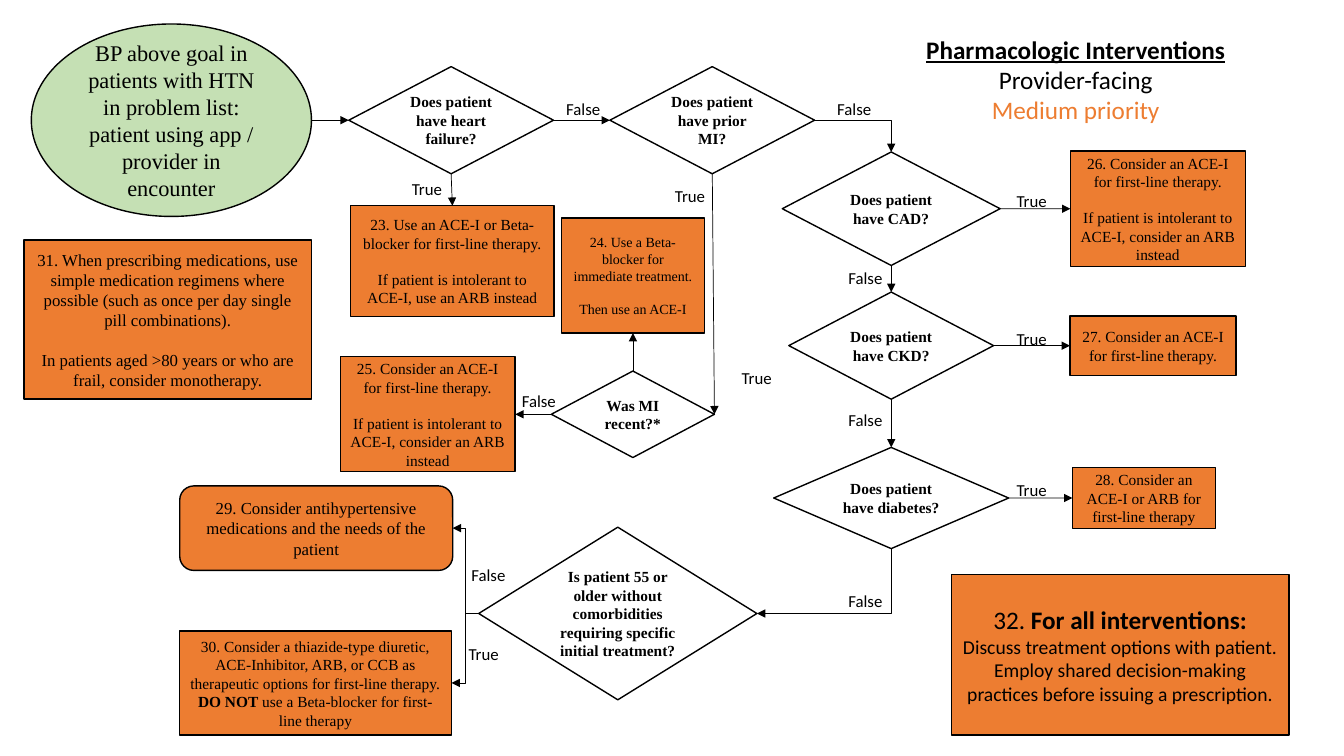
from lxml import etree
from pptx import Presentation
from pptx import util as u
from pptx.dml.color import RGBColor
from pptx.enum import shapes, text
from pptx.oxml.ns import qn

COLOURS = {"ink": "000000", "start": "C5E0B4", "advice": "ED7D31"}
SERIF, SANS = "Times New Roman", "Calibri"
TOP, LEFT, BOTTOM, RIGHT = range(4)
ELLIPSE_RIGHT = "6"
TOP_ROW, CAD_ROW, CKD_ROW, DIABETES_ROW, RECENT_ROW = 3.03, 5.26, 8.71, 12.55, 10.44
CHAIN_X, RECENT_X = 22.46, 15.95
LABEL_SIZE = (1.45, 0.76)
LINE_HEIGHT = 1.15

# name: (centre x, centre y, width, height, question)
QUESTIONS = {
    "failure": (11.37, TOP_ROW, 5.16, 2.7, "Does patient have heart failure?"),
    "prior": (17.95, TOP_ROW, 5.16, 2.7, "Does patient have prior MI?"),
    "cad": (CHAIN_X, CAD_ROW, 5.49, 2.86, "Does patient have CAD?"),
    "ckd": (CHAIN_X, CKD_ROW, 5.16, 2.7, "Does patient have CKD?"),
    "diabetes": (CHAIN_X, DIABETES_ROW, 5.92, 2.55, "Does patient have diabetes?"),
    "recent": (RECENT_X, RECENT_ROW, 4.11, 2.18, "Was MI recent?*"),
    "age": (15.57, 15.46, 7.01, 4.35,
            "Is patient 55 or older without comorbidities requiring specific initial treatment?"),
}

FIRST_LINE = "Consider an ACE-I for first-line therapy."
INTOLERANT = "If patient is intolerant to ACE-I, consider an ARB instead"

# number: (centre x, centre y, width, height, size, gap between paragraphs, paragraphs)
ADVICE = {
    23: (11.4, 6.58, 5.13, 2.79, 11, True,
         ["23. Use an ACE-I or Beta-blocker for first-line therapy.",
          "If patient is intolerant to ACE-I, use an ARB instead"]),
    24: (RECENT_X, 6.94, 3.61, 2.9, 10, True,
         ["24. Use a Beta-blocker for immediate treatment.", "Then use an ACE-I"]),
    25: (10.78, RECENT_ROW, 4.41, 2.9, 11, True, ["25. " + FIRST_LINE, INTOLERANT]),
    26: (29.18, CAD_ROW, 4.41, 2.9, 11, True, ["26. " + FIRST_LINE, INTOLERANT]),
    27: (29.06, CKD_ROW, 4.19, 1.5, 11, False, ["27. " + FIRST_LINE]),
    28: (28.83, DIABETES_ROW, 3.61, 1.53, 11, False,
         ["28. Consider an ACE-I or ARB for first-line therapy"]),
    29: (7.97, 13.31, 6.88, 2.13, 12, False,
         ["29. Consider antihypertensive medications and the needs of the patient"]),
    30: (7.95, 17.21, 6.86, 2.62, 11, False,
         ["30. Consider a thiazide-type diuretic, ACE-Inhibitor, ARB, or CCB as "
          "therapeutic options for first-line therapy.",
          "|DO NOT |use a Beta-blocker for first-line therapy"]),
    31: (4.23, 8.05, 7.24, 4.01, 12, True,
         ["31. When prescribing medications, use simple medication regimens where "
          "possible (such as once per day single pill combinations).",
          "In patients aged >80 years or who are frail, consider monotherapy."]),
    32: (28.23, 16.5, 8.51, 4.04, 14, False,
         ["32. |For all interventions:|",
          "Discuss treatment options with patient. Employ shared decision-making "
          "practices before issuing a prescription."]),
}

START = (4.32, TOP_ROW, 7.06, 4.85,
         "BP above goal in patients with HTN in problem list: "
         "patient using app / provider in encounter")
HEADING = (27.11, 2.02, 8.56, 2.57,
           ["|Pharmacologic Interventions|", "Provider-facing", "Medium priority"])

# from, side, to, side, route, label, label left, label top
ARROWS = [
    ("start", RIGHT, "failure", LEFT, "straight", "", 0, 0),
    ("failure", BOTTOM, 23, TOP, "straight", "True", 10.13, 4.37),
    ("failure", RIGHT, "prior", LEFT, "straight", "False", 14.02, 2.36),
    ("prior", RIGHT, "cad", TOP, "across", "False", 20.85, 2.36),
    ("prior", BOTTOM, "recent", RIGHT, "straight", "True", 16.76, 4.55),
    ("recent", TOP, 24, BOTTOM, "straight", "True", 18.44, 9.14),
    ("recent", LEFT, 25, RIGHT, "straight", "False", 12.9, 9.73),
    ("cad", RIGHT, 26, LEFT, "straight", "True", 25.37, 4.67),
    ("cad", BOTTOM, "ckd", TOP, "straight", "False", 21.13, 6.63),
    ("ckd", RIGHT, 27, LEFT, "straight", "True", 25.37, 8.15),
    ("ckd", BOTTOM, "diabetes", TOP, "straight", "False", 21.13, 10.19),
    ("diabetes", RIGHT, 28, LEFT, "straight", "True", 25.37, 11.96),
    ("diabetes", BOTTOM, "age", RIGHT, "down", "False", 21.13, 14.76),
    ("age", LEFT, 29, RIGHT, "step", "False", 11.63, 14.1),
    ("age", LEFT, 30, RIGHT, "step", "True", 11.56, 16.1),
]

deck = Presentation()
deck.slide_width, deck.slide_height = u.Cm(33.87), u.Cm(19.05)
slide = deck.slides.add_slide(deck.slide_layouts[6])


def colour(name):
    return RGBColor.from_string(COLOURS[name])


def frame(x, y, width, height):
    return [u.Cm(v) for v in (x - width / 2, y - height / 2, width, height)]


def write(shape, paragraphs, size, font, bold=False, gap=False, centred=True):
    body = shape.text_frame
    body.word_wrap = True
    for i, line in enumerate(paragraphs):
        para = body.paragraphs[0] if i == 0 else body.add_paragraph()
        if centred:
            para.alignment = text.PP_ALIGN.CENTER
        if gap and i:
            para.space_before = u.Pt(size * LINE_HEIGHT)
        for j, piece in enumerate(line.split("|")):
            if piece:
                run = para.add_run()
                run.text = piece
                run.font.name, run.font.size = font, u.Pt(size)
                run.font.bold = bold or j % 2 == 1
                run.font.color.rgb = colour("ink")


def node(kind, place, fill=None):
    shape = slide.shapes.add_shape(kind, *frame(*place))
    shape.shadow.inherit = False
    if fill:
        shape.fill.solid()
        shape.fill.fore_color.rgb = colour(fill)
    else:
        shape.fill.background()
    shape.line.color.rgb = colour("ink")
    shape.line.width = u.Pt(1)
    shape.text_frame.vertical_anchor = text.MSO_ANCHOR.MIDDLE
    return shape


def arrow(origin, side, target, target_side, route):
    kind = shapes.MSO_CONNECTOR.STRAIGHT if route == "straight" else shapes.MSO_CONNECTOR.ELBOW
    link = slide.shapes.add_connector(kind, 0, 0, 0, 0)
    link.begin_connect(nodes[origin], side)
    link.end_connect(nodes[target], target_side)
    link.line.color.rgb = colour("ink")
    link.line.width = u.Pt(0.5)
    props = link._element.spPr
    etree.SubElement(props.find(qn("a:ln")), qn("a:tailEnd"), type="triangle")
    etree.SubElement(props, qn("a:effectLst"))
    if origin == "start":
        next(link._element.iter(qn("a:stCxn"))).set("idx", ELLIPSE_RIGHT)
    if route in ("across", "down"):
        props.find(qn("a:prstGeom")).set("prst", "bentConnector2")
    if route == "down":
        x, y = link.left + link.width // 2, link.top + link.height // 2
        link.width, link.height = link.height, link.width
        link.left, link.top = x - link.width // 2, y - link.height // 2
        turn = props.find(qn("a:xfrm"))
        turn.attrib.pop("flipH", None)
        turn.set("rot", "5400000")


nodes = {"start": node(shapes.MSO_SHAPE.OVAL, START[:4], "start")}
write(nodes["start"], START[4:], 16, SERIF)

for name, (*place, question) in QUESTIONS.items():
    nodes[name] = node(shapes.MSO_SHAPE.DIAMOND, place)
    write(nodes[name], [question], 11, SERIF, bold=True)

for number, (*place, size, gap, paragraphs) in ADVICE.items():
    kind = shapes.MSO_SHAPE.ROUNDED_RECTANGLE if number == 29 else shapes.MSO_SHAPE.RECTANGLE
    nodes[number] = node(kind, place, "advice")
    write(nodes[number], paragraphs, size, SANS if number == 32 else SERIF, gap=gap)
for run in nodes[32].text_frame.paragraphs[0].runs:
    run.font.size = u.Pt(18)

for *ends, label, left, top in ARROWS:
    arrow(*ends)
    if label:
        answer = slide.shapes.add_textbox(u.Cm(left), u.Cm(top), *map(u.Cm, LABEL_SIZE))
        write(answer, [label], 12, SANS, centred=False)

heading = slide.shapes.add_textbox(*frame(*HEADING[:4]))
write(heading, HEADING[4], 18, SANS)
title, audience, priority = heading.text_frame.paragraphs
title.runs[0].font.underline = True
priority.runs[0].font.color.rgb = colour("advice")

deck.save("out.pptx")
